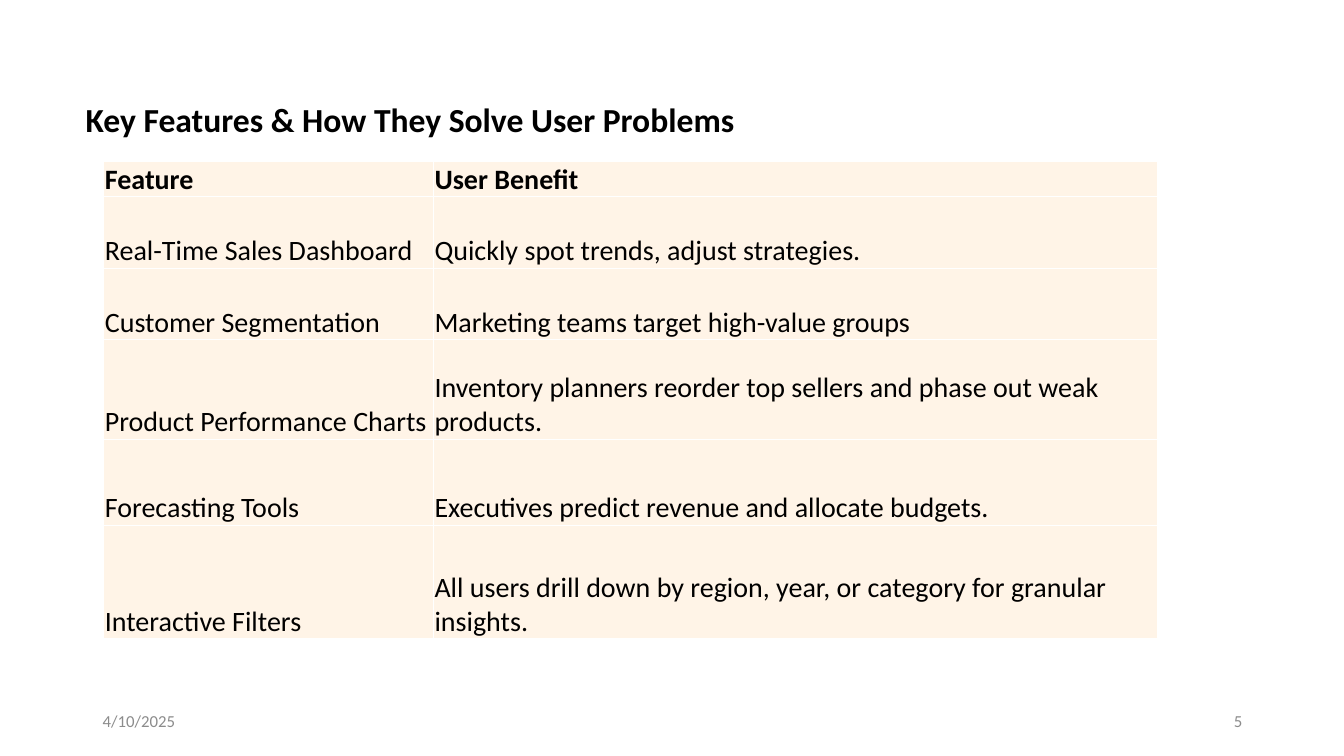
from lxml import etree
from pptx import Presentation
from pptx.dml.color import RGBColor
from pptx.enum.text import MSO_ANCHOR, PP_ALIGN
from pptx.oxml.ns import qn
from pptx.util import Inches, Pt

BLACK = RGBColor(0x00, 0x00, 0x00)
GRAY = RGBColor(0x8C, 0x8C, 0x8C)
CREAM = RGBColor(0xFF, 0xF4, 0xE7)
WHITE = RGBColor(0xFF, 0xFF, 0xFF)
LEFT, RIGHT = PP_ALIGN.LEFT, PP_ALIGN.RIGHT
TOP, MIDDLE, BOTTOM = MSO_ANCHOR.TOP, MSO_ANCHOR.MIDDLE, MSO_ANCHOR.BOTTOM
TITLE_ONLY = 5


def write(frame, text, size, color, bold=False, align=LEFT):
    frame.text = text
    frame.word_wrap = True
    paragraph = frame.paragraphs[0]
    paragraph.alignment = align
    font = paragraph.runs[0].font
    font.name, font.size, font.bold = "Calibri", Pt(size), bold
    font.color.rgb = color


def add_borders(cell, color, width):
    properties = cell._tc.get_or_add_tcPr()
    for position, side in enumerate(("a:lnL", "a:lnR", "a:lnT", "a:lnB")):
        line = etree.Element(qn(side), w=str(Pt(width)))
        fill = etree.SubElement(line, qn("a:solidFill"))
        etree.SubElement(fill, qn("a:srgbClr"), val=str(color))
        properties.insert(position, line)


prs = Presentation()
prs.slide_width, prs.slide_height = Inches(13.33), Inches(7.5)
slide = prs.slides.add_slide(prs.slide_layouts[TITLE_ONLY])

# Title
title = slide.shapes.title
title.left, title.top = Inches(0.75), Inches(0.93)
title.width, title.height = Inches(8), Inches(0.5)
title.text_frame.vertical_anchor = TOP
write(title.text_frame, "Key Features & How They Solve User Problems", 24, BLACK, bold=True)

# Feature and benefit table
features = [
    ("Feature", "User Benefit", 0.3),
    ("Real-Time Sales Dashboard", "Quickly spot trends, adjust strategies.", 0.71),
    ("Customer Segmentation", "Marketing teams target high-value groups", 0.71),
    ("Product Performance Charts",
     "Inventory planners reorder top sellers and phase out weak products.", 0.99),
    ("Forecasting Tools", "Executives predict revenue and allocate budgets.", 0.85),
    ("Interactive Filters",
     "All users drill down by region, year, or category for granular insights.", 1.13),
]
table = slide.shapes.add_table(
    len(features), 2, Inches(1.03), Inches(1.6), Inches(10.45), Inches(4.69)).table
table.horz_banding = False
table.columns[0].width = Inches(3.27)
table.columns[1].width = Inches(7.18)
for row, (feature, benefit, height) in enumerate(features):
    table.rows[row].height = Inches(height)
    for column, text in enumerate((feature, benefit)):
        cell = table.cell(row, column)
        write(cell.text_frame, text, 20, BLACK, bold=row == 0)
        cell.vertical_anchor = BOTTOM
        cell.margin_left = cell.margin_right = cell.margin_top = Inches(0.01)
        cell.margin_bottom = 0
        cell.fill.solid()
        cell.fill.fore_color.rgb = CREAM
        add_borders(cell, WHITE, 1)

# Footer: date and slide number
for left, text, align in ((0.92, "4/10/2025", LEFT), (9.42, "5", RIGHT)):
    footer = slide.shapes.add_textbox(Inches(left), Inches(6.95), Inches(3), Inches(0.4))
    footer.text_frame.vertical_anchor = MIDDLE
    write(footer.text_frame, text, 12, GRAY, align=align)

prs.save("out.pptx")
